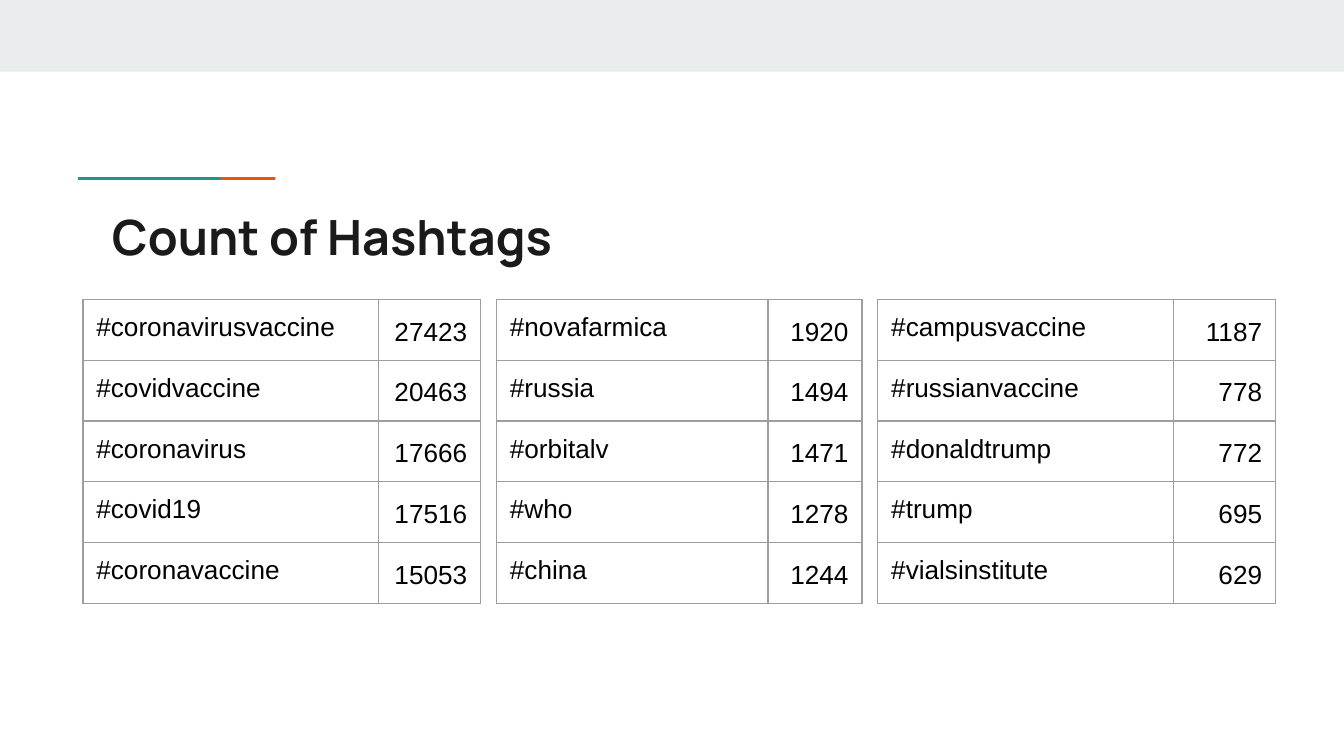
from lxml.etree import SubElement as Sub
from pptx import Presentation
from pptx.dml.color import RGBColor as RGB
from pptx.enum.shapes import MSO_SHAPE as Shape
from pptx.enum.text import MSO_ANCHOR as Anchor, MSO_AUTO_SIZE as Fit, PP_ALIGN as Align
from pptx.oxml.ns import qn
from pptx.util import Inches, Pt

WHITE = RGB(0xFF, 0xFF, 0xFF)
MIST = RGB(0xE9, 0xED, 0xEE)
TEAL = RGB(0x1A, 0x99, 0x88)
FLAME = RGB(0xEB, 0x56, 0x00)
INK = RGB(0x1A, 0x1A, 0x1A)
BLACK = RGB(0, 0, 0)
GRAY = RGB(0x9E, 0x9E, 0x9E)

COLS, ROWS = 100, 56.25
LEFT, TOP, GAP = 6.17, 22.3, 1.17
ROW = 4.2
WIDE, SLIM = (22, 7.6), (20.2, 7)

COUNTS = [
    (WIDE, [("#coronavirusvaccine", 27423), ("#covidvaccine", 20463),
            ("#coronavirus", 17666), ("#covid19", 17516),
            ("#coronavaccine", 15053)]),
    (SLIM, [("#novafarmica", 1920), ("#russia", 1494), ("#orbitalv", 1471),
            ("#who", 1278), ("#china", 1244)]),
    (WIDE, [("#campusvaccine", 1187), ("#russianvaccine", 778),
            ("#donaldtrump", 772), ("#trump", 695),
            ("#vialsinstitute", 629)]),
]


def write(frame, text, font="Arial", size=14, color=BLACK, bold=False,
          align=Align.LEFT, space=1.0):
    para = frame.paragraphs[0]
    para.alignment = align
    para.line_spacing = space
    run = para.add_run()
    run.text = text
    run.font.name = font
    run.font.size = Pt(size)
    run.font.bold = bold
    run.font.color.rgb = color


def pad(box):
    box.margin_left = box.margin_right = Inches(0.1)
    box.margin_top = box.margin_bottom = Inches(0.1)
    box.vertical_anchor = Anchor.TOP


class Page:
    def __init__(self, deck):
        self.wide = deck.slide_width
        self.high = deck.slide_height
        self.slide = deck.slides.add_slide(deck.slide_layouts[5])
        fill = self.slide.background.fill
        fill.solid()
        fill.fore_color.rgb = WHITE

    def x(self, cols):
        return round(self.wide * cols / COLS)

    def y(self, rows):
        return round(self.high * rows / ROWS)

    def area(self, left, top, width, height):
        return self.x(left), self.y(top), self.x(width), self.y(height)

    def bar(self, left, top, width, height, color):
        shape = self.slide.shapes.add_shape(
            Shape.RECTANGLE, *self.area(left, top, width, height))
        shape.shadow.inherit = False
        shape.fill.solid()
        shape.fill.fore_color.rgb = color
        shape.line.fill.background()

    def title(self, text, left, top, width, height):
        box = self.slide.shapes.title
        box.left, box.top, box.width, box.height = self.area(left, top, width, height)
        frame = box.text_frame
        frame.word_wrap = True
        frame.auto_size = Fit.NONE
        pad(frame)
        write(frame, text, font="Manrope", size=26, color=INK, bold=True)

    def edge(self, cell):
        props = cell._tc.get_or_add_tcPr()
        for side in ("lnL", "lnR", "lnT", "lnB"):
            line = Sub(props, qn("a:" + side), w=str(Pt(0.75)))
            fill = Sub(line, qn("a:solidFill"))
            Sub(fill, qn("a:srgbClr"), val=str(GRAY))

    def table(self, left, top, widths, data):
        table = self.slide.shapes.add_table(
            len(data), len(widths),
            *self.area(left, top, sum(widths), ROW * len(data))).table
        table.first_row = table.horz_banding = False
        for col, width in zip(table.columns, widths):
            col.width = self.x(width)
        for row, (tag, count) in zip(table.rows, data):
            name, total = row.cells
            for cell in (name, total):
                pad(cell)
                self.edge(cell)
                cell.fill.background()
            write(name.text_frame, tag)
            write(total.text_frame, str(count), align=Align.RIGHT, space=1.15)


def main():
    deck = Presentation()
    deck.slide_width = Inches(10)
    deck.slide_height = deck.slide_width * 9 // 16
    page = Page(deck)
    page.bar(0, 0, COLS, 5.33, MIST)
    page.bar(5.8, 13.18, 10.65, 0.2, TEAL)
    page.bar(16.45, 13.18, 4.05, 0.2, FLAME)
    page.title("Count of Hashtags", 7.33, 14.4, 89, 5.9)
    left = LEFT
    for widths, data in COUNTS:
        page.table(left, TOP, widths, data)
        left += sum(widths) + GAP
    deck.save("out.pptx")


if __name__ == "__main__":
    main()
